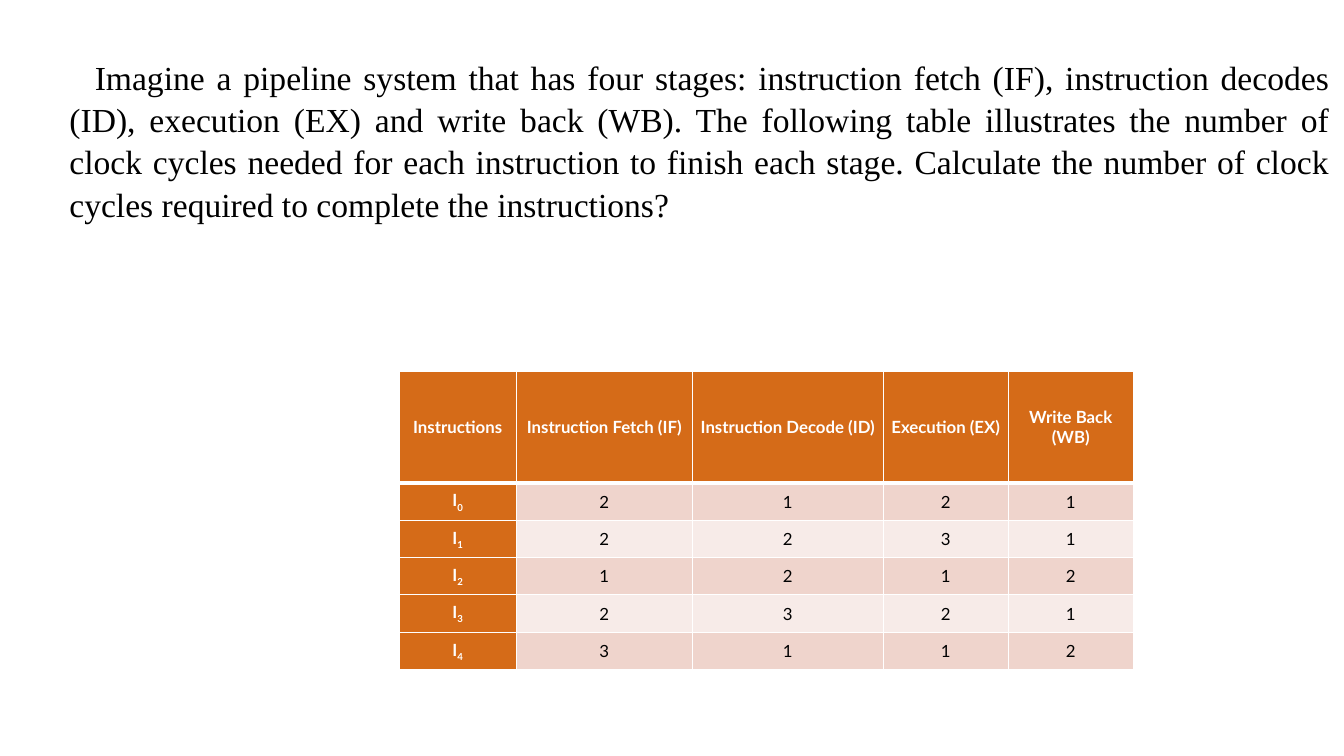
from dataclasses import dataclass

from lxml.etree import SubElement
from pptx import Presentation
from pptx.dml.color import RGBColor
from pptx.enum.text import MSO_ANCHOR, PP_ALIGN
from pptx.oxml.ns import qn
from pptx.util import Cm, Pt

QUESTION = (
    "Imagine a pipeline system that has four stages: instruction fetch (IF), "
    "instruction decodes (ID), execution (EX) and write back (WB). The following "
    "table illustrates the number of clock cycles needed for each instruction to "
    "finish each stage. Calculate the number of clock cycles required to complete "
    "the instructions?"
)
HEADINGS = [
    "Instructions", "Instruction Fetch (IF)", "Instruction Decode (ID)",
    "Execution (EX)", "Write Back (WB)",
]
CYCLES = [
    (2, 1, 2, 1),
    (2, 2, 3, 1),
    (1, 2, 1, 2),
    (2, 3, 2, 1),
    (3, 1, 1, 2),
]
COLUMN_WIDTHS = [2.95, 4.44, 4.81, 3.15, 3.15]
HEADER_HEIGHT, ROW_HEIGHT = 2.82, 0.94


@dataclass(frozen=True)
class Theme:
    """Colours, fonts and type sizes of the slide."""
    accent: str = "D56B18"
    bands: tuple = ("EFD4CC", "F7EBE8")
    light: str = "FFFFFF"
    dark: str = "000000"
    question_font: str = "Times New Roman"
    table_font: str = "Lato"
    question_size: int = 24
    table_size: int = 12


THEME = Theme()


def set_font(font, name, size, color, bold=False):
    """Apply typeface, size, colour and weight to a font."""
    font.name, font.size, font.bold = name, Pt(size), bold
    font.color.rgb = RGBColor.from_string(color)


def add_borders(cell, bottom):
    """Draw white cell borders with the given bottom width in points."""
    properties = cell._tc.get_or_add_tcPr()
    for side, width in (("L", 1), ("R", 1), ("T", 1), ("B", bottom)):
        line = SubElement(properties, qn(f"a:ln{side}"), w=str(Pt(width)))
        fill = SubElement(line, qn("a:solidFill"))
        SubElement(fill, qn("a:srgbClr"), val=THEME.light)


def fill_cell(cell, text, fill, is_heading, subscript="", bottom=1):
    """Write and format one table cell."""
    add_borders(cell, bottom)
    cell.fill.solid()
    cell.fill.fore_color.rgb = RGBColor.from_string(fill)
    cell.vertical_anchor = MSO_ANCHOR.MIDDLE
    cell.margin_left = cell.margin_right = Cm(0.18)
    cell.margin_top = cell.margin_bottom = 0
    paragraph = cell.text_frame.paragraphs[0]
    paragraph.alignment = PP_ALIGN.CENTER
    color = THEME.light if is_heading else THEME.dark
    set_font(paragraph.font, THEME.table_font, THEME.table_size, color, is_heading)
    paragraph.add_run().text = text
    if subscript:
        run = paragraph.add_run()
        run.text = subscript
        run._r.get_or_add_rPr().set("baseline", "-25000")


def add_question(slide):
    """Add the question paragraph."""
    shape = slide.shapes.add_textbox(Cm(1.5), Cm(1.25), Cm(32.26), Cm(5.38))
    shape.text_frame.word_wrap = True
    paragraph = shape.text_frame.paragraphs[0]
    paragraph.text = QUESTION
    paragraph.alignment = PP_ALIGN.JUSTIFY
    paragraph.line_spacing = 1.05
    paragraph._p.get_or_add_pPr().set("indent", str(Cm(0.64)))
    set_font(paragraph.font, THEME.question_font, THEME.question_size, THEME.dark)


def add_cycle_table(slide):
    """Add the table of clock cycles per instruction and stage."""
    heights = [HEADER_HEIGHT] + [ROW_HEIGHT] * len(CYCLES)
    table = slide.shapes.add_table(
        len(heights), len(HEADINGS), Cm(10.06), Cm(9.35),
        Cm(sum(COLUMN_WIDTHS)), Cm(sum(heights)),
    ).table
    table.first_col = True
    for column, width in zip(table.columns, COLUMN_WIDTHS):
        column.width = Cm(width)
    for row, height in zip(table.rows, heights):
        row.height = Cm(height)
    for column, heading in enumerate(HEADINGS):
        fill_cell(table.cell(0, column), heading, THEME.accent, True, bottom=3)
    for index, cycles in enumerate(CYCLES):
        fill_cell(table.cell(index + 1, 0), "I", THEME.accent, True, str(index))
        for column, value in enumerate(cycles, start=1):
            band = THEME.bands[index % 2]
            fill_cell(table.cell(index + 1, column), str(value), band, False)


def main():
    """Build and save the slide."""
    presentation = Presentation()
    presentation.slide_width, presentation.slide_height = Cm(33.87), Cm(19.05)
    slide = presentation.slides.add_slide(presentation.slide_layouts[6])
    add_cycle_table(slide)
    add_question(slide)
    presentation.save("out.pptx")


if __name__ == "__main__":
    main()
